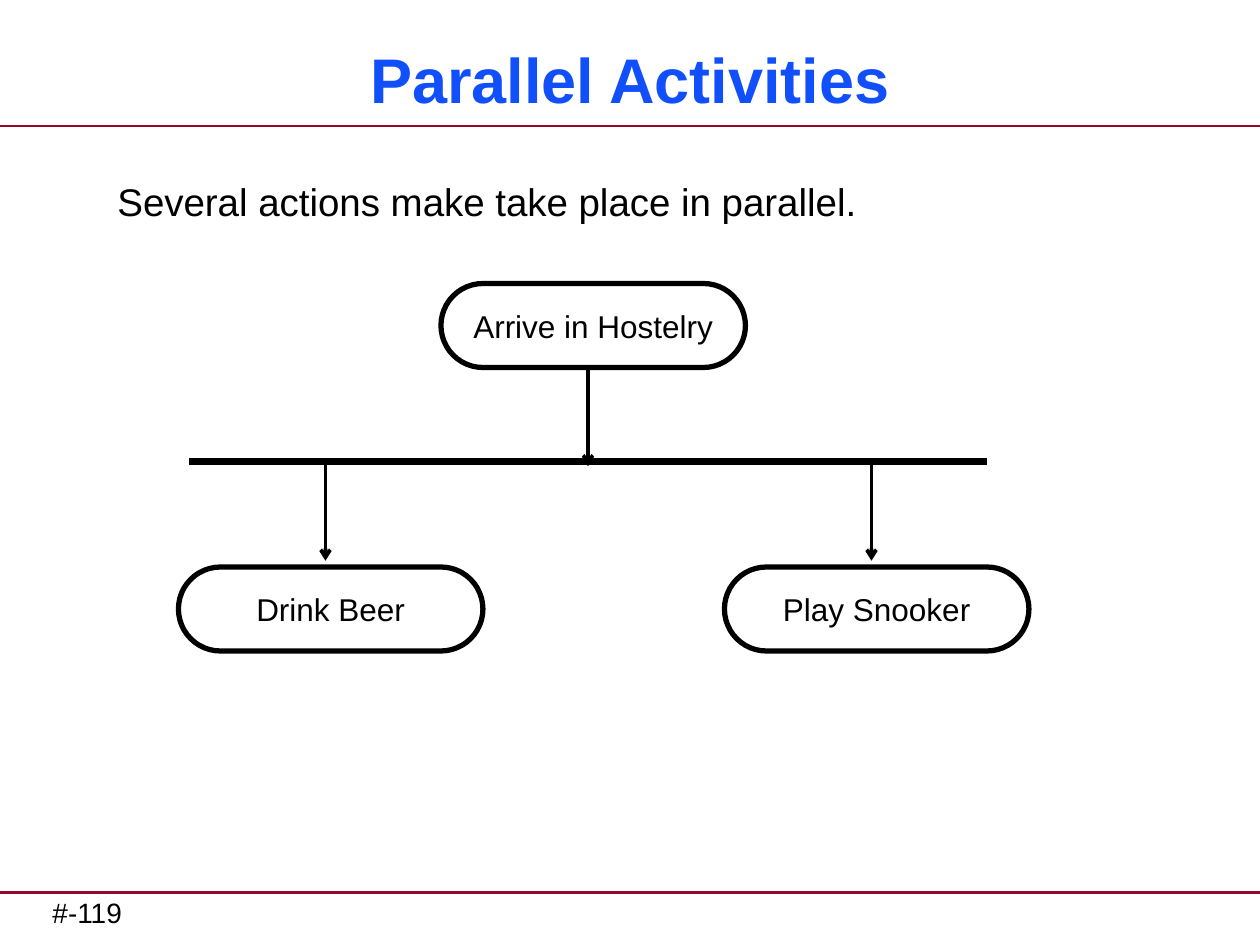
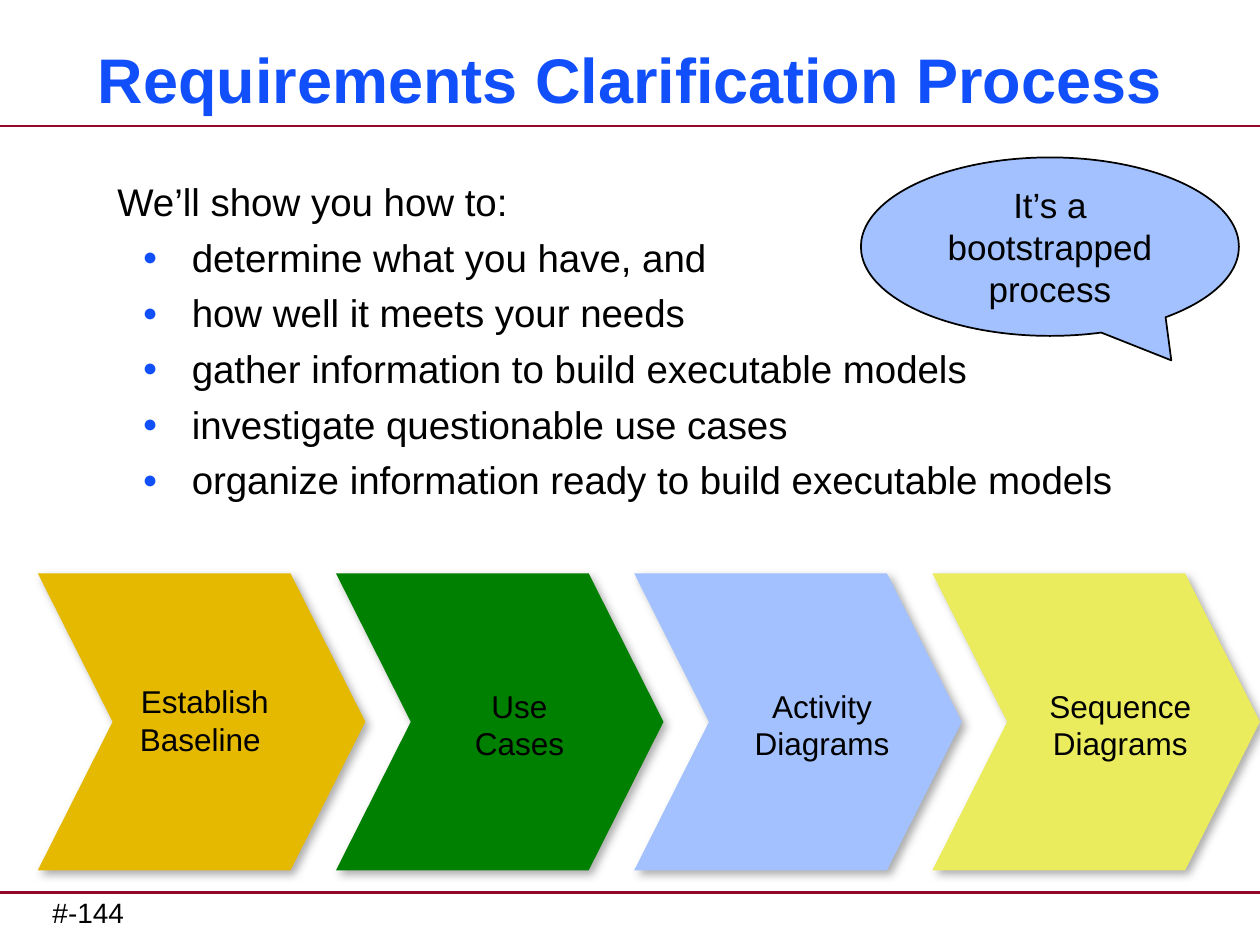
from typing import NamedTuple

from pptx import Presentation, util as u
from pptx.dml.color import RGBColor
from pptx.enum import shapes, text
from pptx.oxml import ns, xmlchemy

COLOURS = {
    "title": "114FFB", "rule": "950728", "ink": "000000", "shadow": "919191",
    "gold": "E4B900", "green": "008000", "blue": "A2C1FE", "yellow": "EAEC5E",
}
FONT = "Arial"
COLUMNS, ROWS = 120, 90  # square cells, twelve to the inch
CELL = u.Inches(10) / COLUMNS
CENTER = text.PP_ALIGN.CENTER
MIDDLE = text.MSO_ANCHOR.MIDDLE


class Box(NamedTuple):
    """A region in grid cells."""
    left: float
    top: float
    width: float
    height: float

    def inner(self, column, row, width, height):
        return Box(self.left + column, self.top + row, width, height)

    def emu(self):
        return [round(value * CELL) for value in self]


TITLE = Box(2, 3, 116, 9)
BODY = Box(10, 16, 106, 67)
FOOTER = Box(5, 84.6, 58, 4.4)
TITLE_RULE, FOOTER_RULE = 12, 85


def colour(name):
    return RGBColor.from_string(COLOURS[name])


def add_xml(parent, tag, **attributes):
    child = xmlchemy.OxmlElement(tag)
    for key, value in attributes.items():
        child.set(key, str(value))
    parent.append(child)
    return child


# Shared drawing helpers

def write(shape, words, size, align=None, anchor=text.MSO_ANCHOR.TOP,
          insets=(0.1, 0.05, 0.1, 0.05), wrap=True, ink="ink", bold=False):
    frame = shape.text_frame
    frame.word_wrap = wrap
    frame.vertical_anchor = anchor
    (frame.margin_left, frame.margin_top,
     frame.margin_right, frame.margin_bottom) = map(u.Inches, insets)
    frame.text = words
    for paragraph in frame.paragraphs:
        paragraph.alignment = align
        for run in paragraph.runs:
            run.font.name = FONT
            run.font.size = u.Pt(size)
            run.font.bold = bold
            run.font.color.rgb = colour(ink)
    return frame


def add_text(slide, box, words, size, **style):
    return write(slide.shapes.add_textbox(*box.emu()), words, size, **style)


def add_shape(slide, kind, box, adjustments, fill=None, line_width=None):
    shape = slide.shapes.add_shape(kind, *box.emu())
    shape.shadow.inherit = False
    for index, value in enumerate(adjustments):
        shape.adjustments[index] = value
    if fill:
        shape.fill.solid()
        shape.fill.fore_color.rgb = colour(fill)
    else:
        shape.fill.background()
    if line_width:
        shape.line.color.rgb = colour("ink")
        shape.line.width = u.Pt(line_width)
    else:
        shape.line.fill.background()
    return shape


def add_line(slide, start, end, width, ink="ink", arrow=False):
    ends = [round(value * CELL) for value in (*start, *end)]
    line = slide.shapes.add_connector(shapes.MSO_CONNECTOR.STRAIGHT, *ends)
    line.line.color.rgb = colour(ink)
    line.line.width = u.Pt(width)
    if arrow:
        add_xml(line.line._get_or_add_ln(), "a:tailEnd", type="arrow")
    add_xml(line._element.spPr, "a:effectLst")


def add_page(deck, title, number):
    slide = deck.slides.add_slide(deck.slide_layouts[6])
    for row in (TITLE_RULE, FOOTER_RULE):
        add_line(slide, (0, row), (COLUMNS, row), 1.5, "rule")
    add_text(slide, FOOTER, number, 16, insets=(0, 0.06, 0, 0.05))
    add_text(slide, TITLE, title, 36, align=CENTER, anchor=MIDDLE,
             ink="title", bold=True)
    return slide


# Body: a lead line, then bullets

def add_body(slide, box, lead, points=()):
    frame = add_text(slide, box, "\n".join([lead, *points]), 22,
                     insets=(0.1, 0.08, 0.1, 0.05))
    for paragraph in frame.paragraphs[1:]:
        paragraph.space_before = u.Pt(5.4)
        properties = paragraph._p.get_or_add_pPr()
        properties.set("lvl", "1")
        properties.set("marL", str(u.Inches(0.59)))
        properties.set("indent", str(u.Inches(-0.39)))
        bullet_colour = add_xml(properties, "a:buClr")
        add_xml(bullet_colour, "a:srgbClr", val=COLOURS["title"])
        add_xml(properties, "a:buSzPct", val=65000)
        add_xml(properties, "a:buFont", typeface=FONT)
        add_xml(properties, "a:buChar", char="●")


# Activity diagram: one activity forks into two

def add_fork(slide, box, first, branches):
    node_width, node_height = 29, 8
    bar_row, branch_row, arrow_length = 17, 27, 9.4

    def add_activity(column, row, words):
        node = add_shape(slide, shapes.MSO_SHAPE.ROUNDED_RECTANGLE,
                         box.inner(column, row, node_width, node_height),
                         [0.5], line_width=3)
        write(node, words, 18, align=CENTER, anchor=MIDDLE, wrap=False)

    def add_arrow(column, row):
        x, y = box.left + column, box.top + row
        add_line(slide, (x, y), (x, y + arrow_length), 2, arrow=True)

    bar_y = box.top + bar_row
    add_line(slide, (box.left + 1, bar_y), (box.left + 77, bar_y), 4)
    add_activity(25, 0, first)
    add_arrow(39, node_height)
    for column, words in zip((0, box.width - node_width), branches):
        add_activity(column, branch_row, words)
        add_arrow(column + 14, bar_row)


# Speech bubble

def add_callout(slide, box, words):
    bubble = add_shape(slide, shapes.MSO_SHAPE.OVAL_CALLOUT, box,
                       [0.321, 0.637], "blue", 1)
    write(bubble, words, 20, align=CENTER, anchor=MIDDLE, insets=(0, 0, 0, 0))


# Chevron band: equal steps across the box

def add_shadow(shape):
    effects = shape._element.spPr.find(ns.qn("a:effectLst"))
    shadow = add_xml(effects, "a:outerShdw", blurRad=u.Pt(5), dist=u.Pt(3),
                     dir=45 * 60000, algn="ctr", rotWithShape=0)
    shade = add_xml(shadow, "a:srgbClr", val=COLOURS["shadow"])
    add_xml(shade, "a:alpha", val=75000)


def add_process(slide, box, steps):
    chevron_width = 31.2
    pitch = (box.width - chevron_width) / (len(steps) - 1)
    for index, (words, fill) in enumerate(steps):
        step = box.inner(index * pitch, 0, chevron_width, box.height)
        chevron = add_shape(slide, shapes.MSO_SHAPE.CHEVRON, step,
                            [0.252], fill)
        add_shadow(chevron)
        if index == 0:
            label, insets = step.inner(5.4, 10.4, 21, 7.3), (0, 0, 0, 0)
        else:
            label, insets = step.inner(6.4, 10.2, 23, 7.9), (0.1, 0.05, 0.1, 0)
        add_text(slide, label, words, 18, align=CENTER, insets=insets)


def main():
    deck = Presentation()
    deck.slide_width = round(COLUMNS * CELL)
    deck.slide_height = round(ROWS * CELL)

    parallel = add_page(deck, "Parallel Activities", "#-119")
    add_body(parallel, BODY, "Several actions make take place in parallel.")
    add_fork(parallel, Box(17, 27, 81, 35), "Arrive in Hostelry",
             ["Drink Beer", "Play Snooker"])

    process = add_page(deck, "Requirements Clarification Process", "#-144")
    add_body(process, BODY, "We’ll show you how to:", [
        "determine what you have, and",
        "how well it meets your needs",
        "gather information to build executable models",
        "investigate questionable use cases",
        "organize information ready to build executable models",
    ])
    add_callout(process, Box(82, 15, 36, 17), "It’s a bootstrapped process")
    add_process(process, Box(3.6, 54.6, 116.4, 28.3), [
        ("Establish\vBaseline ", "gold"),
        ("Use \vCases ", "green"),
        ("Activity Diagrams", "blue"),
        ("Sequence Diagrams", "yellow"),
    ])

    deck.save("out.pptx")


if __name__ == "__main__":
    main()
